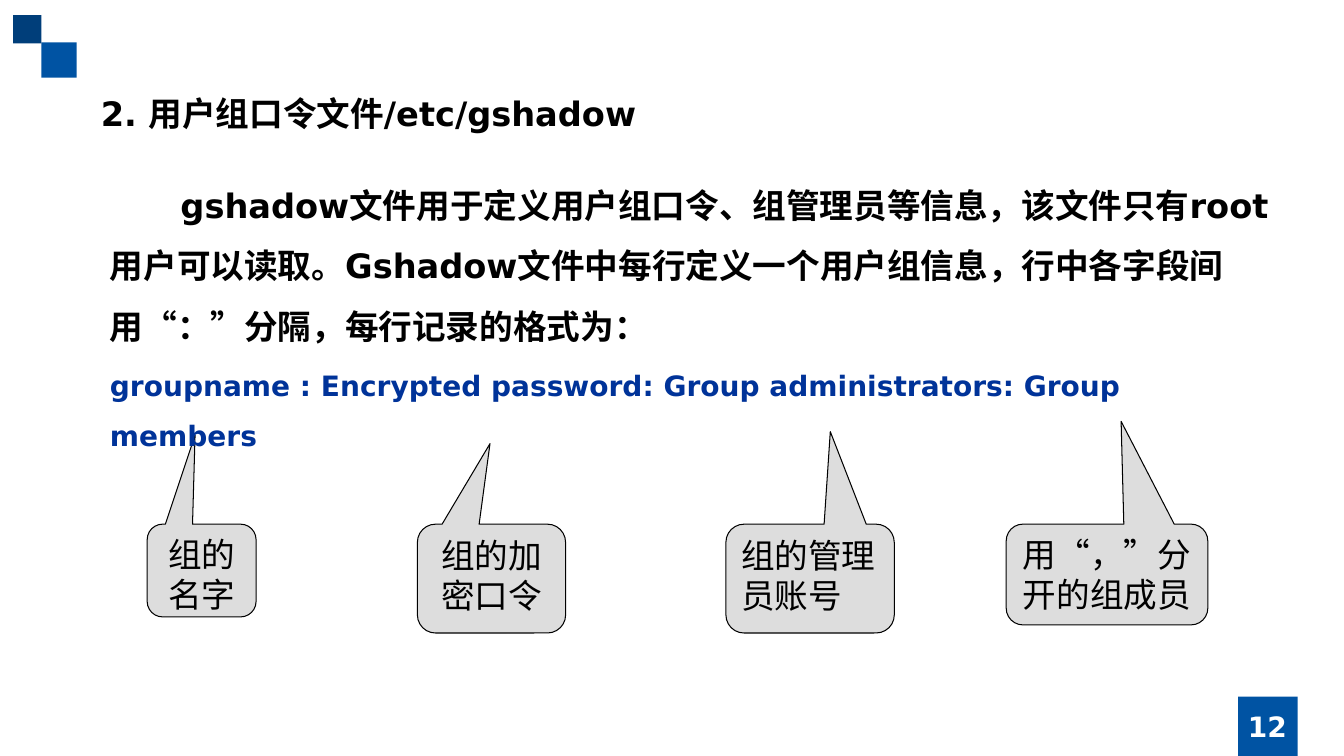
from pptx import Presentation
from pptx.dml.color import RGBColor
from pptx.enum.shapes import MSO_SHAPE as Shape
from pptx.enum.text import MSO_ANCHOR as Anchor, MSO_AUTO_SIZE as AutoSize, PP_ALIGN as Align
from pptx.oxml.ns import qn
from pptx.util import Inches, Pt
from lxml.etree import SubElement

COLORS = {"blue": "0053A3", "navy": "003E7A", "format": "003399",
          "black": "000000", "white": "FFFFFF", "callout": "DDDDDD"}
BOLD_FONT, CALLOUT_FONT = "DejaVu Sans", "Arial"

HEADING = "2. 用户组口令文件/etc/gshadow"
DESCRIPTION = ("gshadow文件用于定义用户组口令、组管理员等信息，该文件只有root用户可以读取。"
               "Gshadow文件中每行定义一个用户组信息，行中各字段间用“：”分隔，每行记录的格式为：")
RECORD_FORMAT = "groupname : Encrypted password: Group administrators: Group members"
PAGE_NUMBER = "12"

# left, top, side, color
SQUARES = [(0.41, 0.42, 0.35, "blue"), (0.13, 0.15, 0.28, "navy"), (12.28, 6.91, 0.59, "blue")]

# text, left, width, height, pointer offset from the centre (share of width, of height), alignment
CALLOUT_TOP = 5.2
CALLOUTS = [
    ("组的名字", 1.46, 1.08, 0.92, (-0.06, -1.46), Align.CENTER),
    ("组的加密口令", 4.14, 1.47, 1.08, (-0.01, -1.24), Align.CENTER),
    ("组的管理员账号", 7.2, 1.67, 1.08, (0.12, -1.35), Align.LEFT),
    ("用“，”分开的组成员", 9.98, 2, 1, (0.07, -1.52), Align.CENTER),
]


def rgb(name):
    return RGBColor.from_string(COLORS[name])


def place(shape, left, top, width, height):
    shape.left, shape.top = Inches(left), Inches(top)
    shape.width, shape.height = Inches(width), Inches(height)


def style(paragraph, size, color, align, font=BOLD_FONT, bold=True):
    paragraph.alignment = align
    for run in paragraph.runs:
        run.font.name, run.font.size, run.font.bold = font, Pt(size), bold
        run.font.color.rgb = rgb(color)


def add_filled(slide, kind, box, color):
    shape = slide.shapes.add_shape(kind, *map(Inches, box))
    shape.shadow.inherit = False
    shape.fill.solid()
    shape.fill.fore_color.rgb = rgb(color)
    shape.line.fill.background()
    return shape


def add_callout(slide, text, left, width, height, pointer, align):
    callout = add_filled(slide, Shape.ROUNDED_RECTANGULAR_CALLOUT,
                         (left, CALLOUT_TOP, width, height), "callout")
    callout.adjustments[0], callout.adjustments[1] = pointer
    callout.line.color.rgb = rgb("black")
    callout.line.width = Pt(0.75)
    frame = callout.text_frame
    frame.text = text
    frame.vertical_anchor = Anchor.TOP
    style(frame.paragraphs[0], 24, "black", align, CALLOUT_FONT, False)


def remove_bullet(paragraph, first_line=0):
    properties = paragraph._p.get_or_add_pPr()
    properties.set("marL", "0")
    properties.set("indent", str(Inches(first_line)))
    SubElement(properties, qn("a:buNone"))


def fill_heading(title):
    place(title, 0.9, 0.67, 11.81, 0.63)
    frame = title.text_frame
    frame.text = HEADING
    frame.vertical_anchor = Anchor.TOP
    frame.auto_size = AutoSize.SHAPE_TO_FIT_TEXT
    frame.paragraphs[0].line_spacing = 1.5
    style(frame.paragraphs[0], 24, "black", Align.JUSTIFY)


def fill_body(body):
    place(body, 0.99, 1.58, 11.72, 2.42)
    frame = body.text_frame
    frame.text = DESCRIPTION
    frame.auto_size = AutoSize.SHAPE_TO_FIT_TEXT
    description, record = frame.paragraphs[0], frame.add_paragraph()
    record.text = RECORD_FORMAT
    for paragraph, size, color, first_line in ((description, 24, "black", 0.7),
                                               (record, 20, "format", 0)):
        paragraph.line_spacing = 1.5
        style(paragraph, size, color, Align.LEFT)
        remove_bullet(paragraph, first_line)


def add_page_number(slide):
    number = slide.shapes.add_textbox(*map(Inches, (11.81, 7.01, 1.52, 0.4)))
    frame = number.text_frame
    frame.word_wrap = True
    frame.vertical_anchor = Anchor.MIDDLE
    frame.text = PAGE_NUMBER
    style(frame.paragraphs[0], 20, "white", Align.CENTER)


def main():
    deck = Presentation()
    deck.slide_width, deck.slide_height = Inches(13.33), Inches(7.5)
    slide = deck.slides.add_slide(deck.slide_layouts[1])
    body = slide.placeholders[1]

    for left, top, side, color in SQUARES:
        add_filled(slide, Shape.RECTANGLE, (left, top, side, side), color)
    add_page_number(slide)
    fill_heading(slide.shapes.title)
    for callout in CALLOUTS:
        add_callout(slide, *callout)
    fill_body(body)
    slide.shapes._spTree.append(body._element)  # text stays in front of the callout pointers

    deck.save("out.pptx")


if __name__ == "__main__":
    main()
